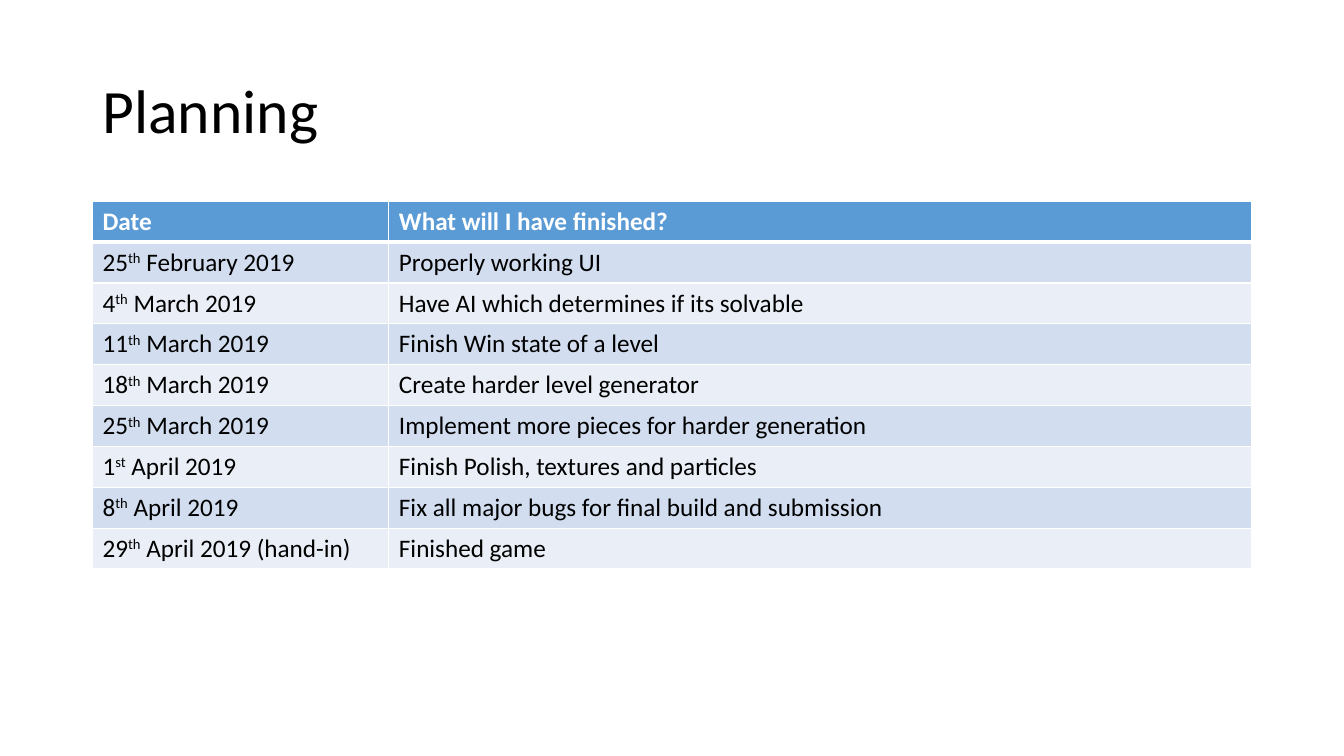
"""Build the project planning slide with its table of dated milestones."""
from dataclasses import dataclass

from lxml.etree import SubElement
from pptx import Presentation
from pptx.dml.color import RGBColor
from pptx.enum.text import MSO_ANCHOR as Anchor, PP_ALIGN as Align
from pptx.oxml.ns import qn
from pptx.util import Cm, Pt

BLACK, WHITE, HEADER = "000000", "FFFFFF", "5B9BD5"
BANDS = ("D2DEEF", "EAEFF7")
LEFT, WIDTH = 2.33, 29.21
DATE_WIDTH, ROW_HEIGHT = 7.47, 1.03


@dataclass
class Milestone:
    day: str
    suffix: str
    month: str
    goal: str


MILESTONES = [
    Milestone("25", "th", " February 2019", "Properly working UI"),
    Milestone("4", "th", " March 2019", "Have AI which determines if its solvable"),
    Milestone("11", "th", " March 2019", "Finish Win state of a level"),
    Milestone("18", "th", " March 2019", "Create harder level generator"),
    Milestone("25", "th", " March 2019", "Implement more pieces for harder generation"),
    Milestone("1", "st", " April 2019", "Finish Polish, textures and particles"),
    Milestone("8", "th", " April 2019", "Fix all major bugs for final build and submission"),
    Milestone("29", "th", " April 2019 (hand-in)", "Finished game"),
]


def rgb(value: str) -> RGBColor:
    return RGBColor.from_string(value)


def add_run(p, text: str, color: str, size: int = 18, bold: bool = False):
    r = p.add_run()
    r.text = text
    formats = {"name": "Calibri", "size": Pt(size), "bold": bold}
    for name, value in formats.items():
        setattr(r.font, name, value)
    r.font.color.rgb = rgb(color)
    return r


def add_borders(cell, top: int, bottom: int) -> None:
    tc_pr = cell._tc.get_or_add_tcPr()
    for side, width in {"L": 1, "R": 1, "T": top, "B": bottom}.items():
        ln = SubElement(tc_pr, qn(f"a:ln{side}"), w=str(Pt(width)))
        fill = SubElement(ln, qn("a:solidFill"))
        SubElement(fill, qn("a:srgbClr"), val=WHITE)


def fill_cell(cell, parts: list[str], row: int) -> None:
    is_header = row == 0
    add_borders(cell, 3 if row == 1 else 1, 3 if is_header else 1)
    cell.fill.solid()
    cell.fill.fore_color.rgb = rgb(HEADER if is_header else BANDS[(row - 1) % 2])
    p = cell.text_frame.paragraphs[0]
    for i, text in enumerate(parts):
        r = add_run(p, text, WHITE if is_header else BLACK, bold=is_header)
        if i == 1:
            r._r.get_or_add_rPr().set("baseline", "30000")


def add_title(s, text: str) -> None:
    sp = s.shapes.title
    box = {"left": LEFT, "top": 1.01, "width": WIDTH, "height": 3.68}
    for name, value in box.items():
        setattr(sp, name, Cm(value))
    tf = sp.text_frame
    tf.vertical_anchor = Anchor.MIDDLE
    p = tf.paragraphs[0]
    p.alignment = Align.LEFT
    p.line_spacing = 0.9
    add_run(p, text, BLACK, size=44)


def add_plan(s, milestones: list[Milestone]) -> None:
    rows = [(["Date"], ["What will I have finished?"])]
    rows += [([m.day, m.suffix, m.month], [m.goal]) for m in milestones]
    table = s.shapes.add_table(
        len(rows), 2, Cm(LEFT), Cm(5.07), Cm(WIDTH), Cm(ROW_HEIGHT * len(rows))
    ).table
    for column, width in zip(table.columns, (DATE_WIDTH, WIDTH - DATE_WIDTH)):
        column.width = Cm(width)
    for i, row in enumerate(rows):
        table.rows[i].height = Cm(ROW_HEIGHT)
        for j, parts in enumerate(row):
            fill_cell(table.cell(i, j), parts, i)


def main() -> None:
    prs = Presentation()
    prs.slide_width, prs.slide_height = Cm(33.87), Cm(19.05)
    s = prs.slides.add_slide(prs.slide_layouts[5])
    add_title(s, "Planning")
    add_plan(s, MILESTONES)
    prs.save("out.pptx")


if __name__ == "__main__":
    main()
